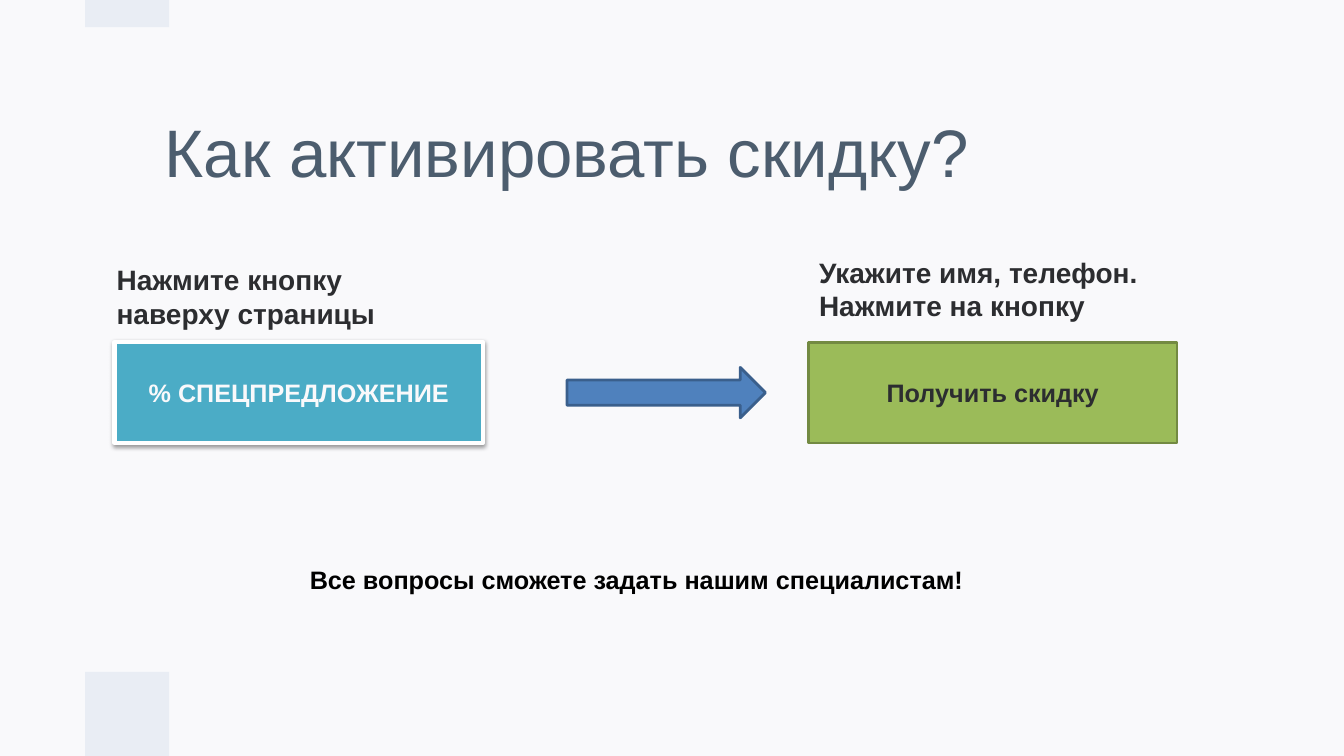
from dataclasses import dataclass

from lxml import etree
from pptx import Presentation
from pptx import util as u
from pptx.dml.color import RGBColor
from pptx.enum import shapes, text
from pptx.oxml import ns

PX = 9525
SLIDE_WIDTH, SLIDE_HEIGHT = 1280, 720


@dataclass(frozen=True)
class Theme:
    font: str = "Arial"
    background: str = "F9F9FB"
    accent_block: str = "E9EDF4"
    title: str = "4C5D6E"
    dark: str = "2C2D30"
    black: str = "000000"
    white: str = "FFFFFF"
    offer: str = "4BACC6"
    discount: str = "9BBB59"
    discount_line: str = "738A42"
    arrow: str = "4F81BD"
    arrow_line: str = "3A5F8C"
    title_size: int = 48
    caption_size: int = 20
    body_size: int = 18


THEME = Theme()


def emu(box):
    return [u.Emu(length * PX) for length in box]


def write(shape, lines, size, color, bold=True, align=text.PP_ALIGN.LEFT,
          anchor=text.MSO_ANCHOR.TOP, inset=5, spacing=None):
    frame = shape.text_frame
    frame.word_wrap = True
    frame.vertical_anchor = anchor
    frame.margin_left = frame.margin_right = u.Emu(10 * PX)
    frame.margin_top = frame.margin_bottom = u.Emu(inset * PX)
    frame.text = "\n".join(lines)
    for paragraph in frame.paragraphs:
        paragraph.alignment = align
        paragraph.line_spacing = spacing
        for run in paragraph.runs:
            run.font.name = THEME.font
            run.font.size = u.Pt(size)
            run.font.bold = bold
            run.font.color.rgb = RGBColor.from_string(color)


def add_text(slide, box, lines, size, color, **style):
    write(slide.shapes.add_textbox(*emu(box)), lines, size, color, **style)


def add_block(slide, kind, box, fill, line=None, line_width=2):
    shape = slide.shapes.add_shape(kind, *emu(box))
    shape.shadow.inherit = False
    shape.fill.solid()
    shape.fill.fore_color.rgb = RGBColor.from_string(fill)
    if line:
        shape.line.color.rgb = RGBColor.from_string(line)
        shape.line.width = u.Pt(line_width)
    else:
        shape.line.fill.background()
    return shape


def add_soft_shadow(shape):
    effects = shape._element.spPr.find(ns.qn("a:effectLst"))
    shadow = etree.SubElement(
        effects, ns.qn("a:outerShdw"), blurRad=str(u.Pt(3.1)),
        dist=str(u.Pt(1.6)), dir="5400000", rotWithShape="0")
    color = etree.SubElement(shadow, ns.qn("a:srgbClr"), val=THEME.black)
    etree.SubElement(color, ns.qn("a:alpha"), val="38000")


def add_edge_blocks(slide, left, width):
    for top, height in ((0, 26), (SLIDE_HEIGHT - 80, 80)):
        add_block(slide, shapes.MSO_SHAPE.RECTANGLE,
                  (left, top, width, height), THEME.accent_block)


def add_step(slide, box, caption, caption_offset, label, label_color, **look):
    """Draw a button with its two-line caption offset from its corner."""
    left, top, _, _ = box
    dx, dy = caption_offset
    add_text(slide, (left + dx, top + dy, 500, 74), caption,
             THEME.caption_size, THEME.dark)
    button = add_block(slide, shapes.MSO_SHAPE.RECTANGLE, box, **look)
    write(button, [label], THEME.body_size, label_color,
          align=text.PP_ALIGN.CENTER, anchor=text.MSO_ANCHOR.MIDDLE)
    return button


def add_steps(slide, box):
    """Place two buttons at the ends of the box and an arrow between them."""
    left, top, width, height = box
    button_width = 351
    offer = add_step(
        slide, (left, top, button_width, height),
        ["Нажмите кнопку", "наверху страницы"], (-8, -81),
        "% СПЕЦПРЕДЛОЖЕНИЕ", THEME.background,
        fill=THEME.offer, line=THEME.white, line_width=3)
    add_soft_shadow(offer)
    add_block(slide, shapes.MSO_SHAPE.RIGHT_ARROW,
              (left + 431, top + (height - 48) // 2, 189, 48),
              THEME.arrow, THEME.arrow_line)
    add_step(
        slide, (left + width - button_width, top, button_width, height),
        ["Укажите имя, телефон.", "Нажмите на кнопку"], (0, -88),
        "Получить скидку", THEME.dark,
        fill=THEME.discount, line=THEME.discount_line)


def build_discount_slide(presentation):
    slide = presentation.slides.add_slide(presentation.slide_layouts[6])
    slide.background.fill.solid()
    slide.background.fill.fore_color.rgb = RGBColor.from_string(THEME.background)
    add_edge_blocks(slide, 81, 80)
    add_text(slide, (147, 80, 974, 137), ["Как активировать скидку?"],
             THEME.title_size, THEME.title, bold=False,
             anchor=text.MSO_ANCHOR.MIDDLE, inset=10, spacing=0.9)
    add_steps(slide, (109, 326, 1012, 96))
    add_text(slide, (285, 532, 735, 38),
             ["Все вопросы сможете задать нашим специалистам!"],
             THEME.body_size, THEME.black)


def main():
    presentation = Presentation()
    presentation.slide_width, presentation.slide_height = emu(
        (SLIDE_WIDTH, SLIDE_HEIGHT))
    build_discount_slide(presentation)
    presentation.save("out.pptx")


if __name__ == "__main__":
    main()
